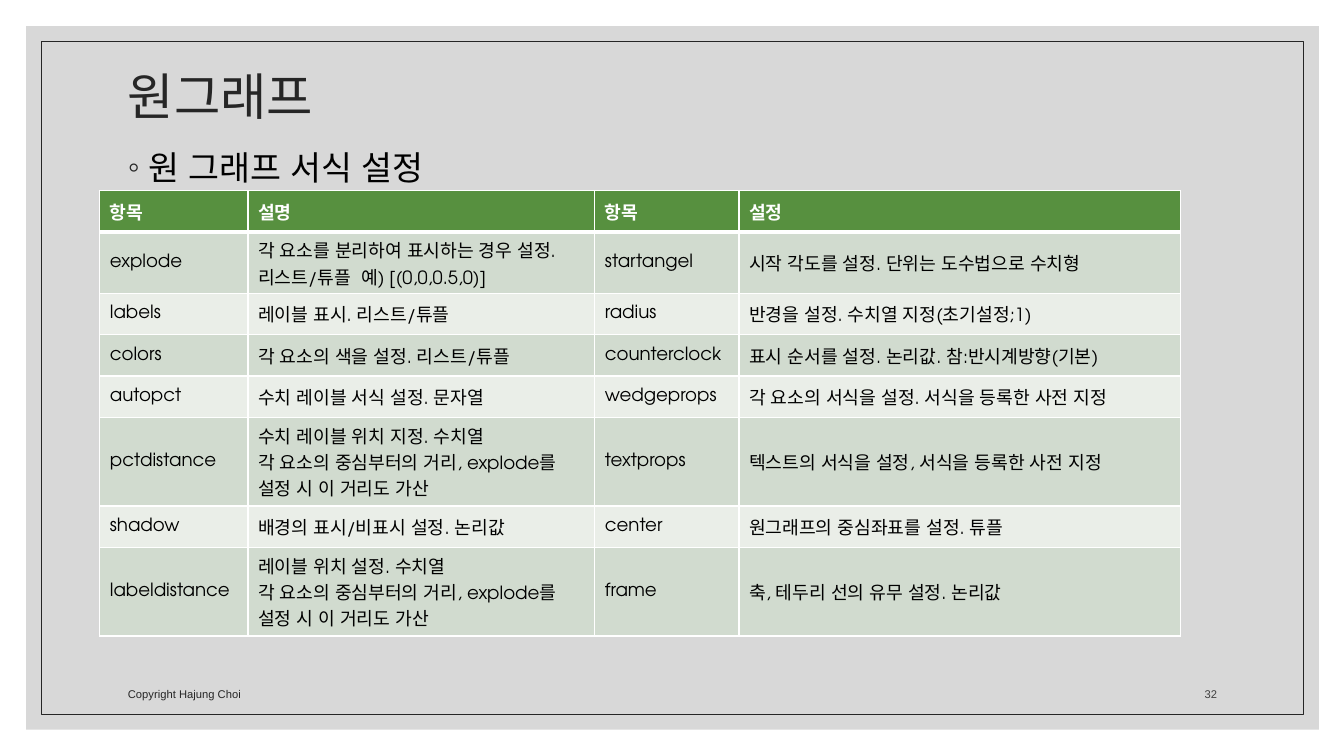
from pptx import Presentation
from pptx.dml.color import RGBColor
from pptx.enum.lang import MSO_LANGUAGE_ID as Lang
from pptx.enum.shapes import MSO_SHAPE as Shape
from pptx.enum.text import MSO_ANCHOR as Anchor, PP_ALIGN as Align
from pptx.oxml import parse_xml
from pptx.oxml.ns import nsdecls
from pptx.util import Inches, Pt

WHITE = RGBColor(0xFF, 0xFF, 0xFF)
BLACK = RGBColor(0, 0, 0)
INK = RGBColor(0x26, 0x26, 0x26)
PAGE_GRAY = RGBColor(0x40, 0x40, 0x40)
PANEL = RGBColor(0xBF, 0xBF, 0xBF)
GREEN = RGBColor(0x57, 0x90, 0x3F)
BAND_DARK = RGBColor(0xD1, 0xDB, 0xCF)
BAND_LIGHT = RGBColor(0xEA, 0xEE, 0xE8)

SANS, KOREAN, TABLE_FONT = "Arial", "Noto Sans CJK KR", "TeX Gyre Adventor"

COL_WIDTHS = [1.47, 3.44, 1.43, 4.38]
# Row height by the number of text lines it has to hold
HEIGHTS = {1: 0.41, 2: 0.61, 3: 0.88}
ROW_LINES = [1, 2, 1, 1, 1, 3, 1, 3]
DISTANCE_NOTE = "각 요소의 중심부터의 거리, explode를 설정 시 이 거리도 가산"
ROWS = [
    ["항목", "설명", "항목", "설정"],
    ["explode", "각 요소를 분리하여 표시하는 경우 설정. 리스트/튜플  예) [(0,0,0.5,0)]",
     "startangel", "시작 각도를 설정. 단위는 도수법으로 수치형"],
    ["labels", "레이블 표시. 리스트/튜플",
     "radius", "반경을 설정. 수치열 지정(초기설정;1)"],
    ["colors", "각 요소의 색을 설정. 리스트/튜플",
     "counterclock", "표시 순서를 설정. 논리값. 참:반시계방향(기본)"],
    ["autopct", "수치 레이블 서식 설정. 문자열",
     "wedgeprops", "각 요소의 서식을 설정. 서식을 등록한 사전 지정"],
    ["pctdistance", "수치 레이블 위치 지정. 수치열\n" + DISTANCE_NOTE,
     "textprops", "텍스트의 서식을 설정, 서식을 등록한 사전 지정"],
    ["shadow", "배경의 표시/비표시 설정. 논리값",
     "center", "원그래프의 중심좌표를 설정. 튜플"],
    ["labeldistance", "레이블 위치 설정. 수치열\n" + DISTANCE_NOTE,
     "frame", "축, 테두리 선의 유무 설정. 논리값"],
]


def write(tf, text, size, color, font=SANS, bold=False, **para_format):
    """Fill a text frame, one paragraph per line of text."""
    run_format = {"size": Pt(size), "name": font, "bold": bold,
                  "language_id": Lang.KOREAN}
    for i, line in enumerate(text.split("\n")):
        p = tf.add_paragraph() if i else tf.paragraphs[0]
        for name, value in para_format.items():
            setattr(p, name, value)
        r = p.add_run()
        r.text = line
        for name, value in run_format.items():
            setattr(r.font, name, value)
        r.font.color.rgb = color
        r.font._element.append(
            parse_xml(f'<a:ea {nsdecls("a")} typeface="{KOREAN}"/>'))


def add_text(s, box, text, size, color, anchor=Anchor.TOP, **style):
    tf = s.shapes.add_textbox(*map(Inches, box)).text_frame
    tf.word_wrap = True
    tf.vertical_anchor = anchor
    write(tf, text, size, color, **style)
    return tf


def add_bullet(p, char, color, indent):
    pPr = p._p.get_or_add_pPr()
    pPr.set("marL", str(Inches(indent)))
    pPr.set("indent", str(-Inches(indent)))
    for xml in (f'<a:buClr {nsdecls("a")}><a:srgbClr val="{color}"/></a:buClr>',
                f'<a:buFont {nsdecls("a")} typeface="{SANS}"/>',
                f'<a:buChar {nsdecls("a")} char="{char}"/>'):
        pPr.append(parse_xml(xml))


def add_rect(s, box):
    sp = s.shapes.add_shape(Shape.RECTANGLE, *map(Inches, box))
    sp.shadow.inherit = False
    sp.fill.background()
    sp.line.fill.background()
    return sp


def add_background(s):
    panel = add_rect(s, (0.26, 0.26, 12.82, 6.98))
    panel.fill.solid()
    panel.fill.fore_color.rgb = PANEL
    color = panel.fill._xPr.find(".//{*}srgbClr")
    color.append(parse_xml(f'<a:alpha {nsdecls("a")} val="60000"/>'))

    frame = add_rect(s, (0.41, 0.41, 12.52, 6.68))
    frame.line.color.rgb = INK
    frame.line.width = Pt(0.5)


def set_borders(cell, widths):
    tcPr = cell._tc.get_or_add_tcPr()
    for side, width in widths.items():
        tcPr.append(parse_xml(
            f'<a:ln{side} {nsdecls("a")} w="{Pt(width)}"><a:solidFill>'
            f'<a:srgbClr val="{WHITE}"/></a:solidFill></a:ln{side}>'))


def add_option_table(s, left, top):
    heights = [HEIGHTS[n] for n in ROW_LINES]
    size = map(Inches, (left, top, sum(COL_WIDTHS), sum(heights)))
    table = s.shapes.add_table(len(ROWS), len(COL_WIDTHS), *size).table
    for col, width in zip(table.columns, COL_WIDTHS):
        col.width = Inches(width)
    for i, (texts, height) in enumerate(zip(ROWS, heights)):
        table.rows[i].height = Inches(height)
        header = i == 0
        fill = GREEN if header else BAND_DARK if i % 2 else BAND_LIGHT
        # The rule under the header is thicker than the others
        borders = {"L": 1, "R": 1, "T": 3 if i == 1 else 1, "B": 3 if header else 1}
        for j, text in enumerate(texts):
            cell = table.cell(i, j)
            cell.vertical_anchor = Anchor.MIDDLE
            set_borders(cell, borders)
            cell.fill.solid()
            cell.fill.fore_color.rgb = fill
            write(cell.text_frame, text, 13, WHITE if header else BLACK,
                  font=TABLE_FONT, bold=header)


def main():
    prs = Presentation()
    prs.slide_width, prs.slide_height = Inches(13.33), Inches(7.5)
    s = prs.slides.add_slide(prs.slide_layouts[6])

    add_background(s)

    # Heading and subheading
    add_text(s, (1.17, 0.7, 11, 0.56), "원그래프", 36, INK, Anchor.MIDDLE,
             line_spacing=0.9)
    body = add_text(s, (1.17, 1.37, 11, 5.14), "원 그래프 서식 설정", 24, BLACK,
                    font=KOREAN, line_spacing=1.1, space_before=Pt(9))
    add_bullet(body.paragraphs[0], "◦", INK, 0.2)

    # Footer
    add_text(s, (1.17, 6.6, 6.36, 0.4), "Copyright Hajung Choi", 8, INK, Anchor.BOTTOM)
    add_text(s, (11.25, 6.6, 0.92, 0.4), "32", 8, PAGE_GRAY, Anchor.BOTTOM,
             alignment=Align.RIGHT)

    add_option_table(s, 0.99, 1.89)
    prs.save("out.pptx")


if __name__ == "__main__":
    main()
